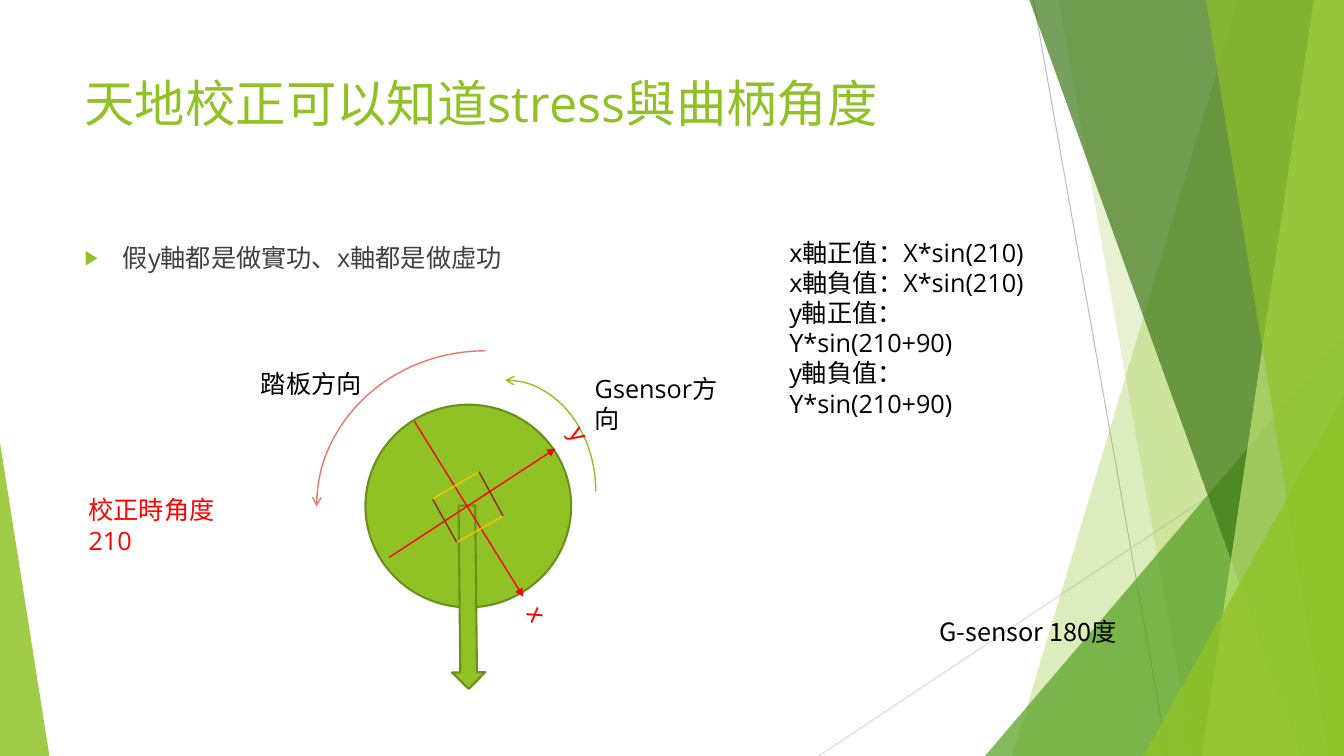
from pptx import Presentation
from pptx.dml.color import RGBColor
from pptx.enum.shapes import MSO_CONNECTOR, MSO_SHAPE
from pptx.oxml.ns import qn
from pptx.util import Inches, Pt
from lxml.etree import SubElement

WIDE, HIGH = 13.33, 7.5
GREEN = RGBColor(0x90, 0xC2, 0x26)
DEEP = RGBColor(0x54, 0xA0, 0x21)
DARK = RGBColor(0x3F, 0x78, 0x19)
PALE = RGBColor(0xC0, 0xE4, 0x74)
EDGE = RGBColor(0x6B, 0x90, 0x1C)
CORAL = RGBColor(0xEB, 0x77, 0x66)
RED = RGBColor(0xFF, 0, 0)
GOLD = RGBColor(0xFF, 0xC0, 0)
BROWN = RGBColor(0x93, 0x23, 0x13)
GRAY = RGBColor(0xBF, 0xBF, 0xBF)
MIST = RGBColor(0xD9, 0xD9, 0xD9)
INK = RGBColor(0x40, 0x40, 0x40)
BLACK = RGBColor(0, 0, 0)


def inches(values):
    return [Inches(value) for value in values]


def tint(shape, color, alpha):
    shape.shadow.inherit = False
    shape.fill.solid()
    shape.fill.fore_color.rgb = color
    shape.line.fill.background()
    clr = shape._element.spPr.find(qn("a:solidFill"))[0]
    SubElement(clr, qn("a:alpha"), val=str(alpha * 1000))


def add_fin(slide, top, base, color, alpha):
    points = [(top, 0), (WIDE, 0), (WIDE, HIGH), (base, HIGH)]
    points = [inches(point) for point in points]
    form = slide.shapes.build_freeform(*points[0])
    form.add_line_segments(points[1:])
    tint(form.convert_to_shape(), color, alpha)


def add_wedge(slide, box, peak, color, alpha):
    shape = slide.shapes.add_shape(MSO_SHAPE.ISOSCELES_TRIANGLE, *inches(box))
    shape.adjustments[0] = peak
    tint(shape, color, alpha)


def add_line(slide, start, end, color, width=1, arrow=False):
    line = slide.shapes.add_connector(
        MSO_CONNECTOR.STRAIGHT, *inches(start + end))
    line.line.color.rgb = color
    line.line.width = Pt(width)
    if arrow:
        SubElement(line.line._get_or_add_ln(), qn("a:tailEnd"), type="triangle")
    SubElement(line._element.spPr, qn("a:effectLst"))


def add_solid(slide, kind, box, turn):
    shape = slide.shapes.add_shape(kind, *inches(box))
    shape.shadow.inherit = False
    shape.rotation = turn
    shape.fill.solid()
    shape.fill.fore_color.rgb = GREEN
    shape.line.color.rgb = EDGE
    shape.line.width = Pt(1.5)


def add_arc(slide, box, color, end, flip=False):
    arc = slide.shapes.add_shape(MSO_SHAPE.ARC, *inches(box))
    arc.shadow.inherit = False
    arc.fill.background()
    arc.line.color.rgb = color
    arc.line.width = Pt(1)
    SubElement(arc.line._get_or_add_ln(), qn(end), type="arrow")
    if flip:
        arc._element.spPr.xfrm.set("flipH", "1")


def add_text(slide, box, lines, color=BLACK, size=18, font="Open Sans", turn=0):
    shape = slide.shapes.add_textbox(*inches(box))
    shape.rotation = turn
    frame = shape.text_frame
    frame.word_wrap = True
    frame.text = lines
    for para in frame.paragraphs:
        para.font.size = Pt(size)
        para.font.name = font
        para.font.color.rgb = color
    return frame


def add_bullet(para):
    props = para._p.get_or_add_pPr()
    props.set("marL", str(Inches(0.38)))
    props.set("indent", str(Inches(-0.38)))
    marks = [SubElement(props, qn("a:buClr")),
             SubElement(props, qn("a:buSzPct"), val="80000"),
             SubElement(props, qn("a:buFont"), typeface="Arial"),
             SubElement(props, qn("a:buChar"), char="▶")]
    SubElement(marks[0], qn("a:srgbClr"), val=str(GREEN))
    for spot, mark in enumerate(marks):
        props.insert(spot, mark)


def add_decor(slide):
    add_line(slide, (10.25, 0), (11.58, HIGH), GRAY, 0.75)
    add_line(slide, (WIDE, 4.03), (8.12, HIGH), MIST, 0.75)
    add_fin(slide, 12.28, 10.04, GREEN, 30)
    add_fin(slide, 10.5, 11.83, GREEN, 20)
    add_wedge(slide, (9.77, 3.33, 3.56, 4.17), 1, DEEP, 72)
    add_fin(slide, 10.21, 12.91, DARK, 70)
    add_fin(slide, 13.03, 11.92, PALE, 70)
    add_fin(slide, 11.96, 13.18, GREEN, 65)
    add_wedge(slide, (11.34, 3.93, 1.99, 3.57), 1, GREEN, 80)
    add_wedge(slide, (0, 4.39, 0.49, 3.11), 0, GREEN, 85)


def add_crank(slide):
    add_solid(slide, MSO_SHAPE.OVAL, (3.64, 4, 2.01, 2.04), 270)
    add_arc(slide, (4.11, 3.77, 1.8, 2.21), GREEN, "a:headEnd")
    add_arc(slide, (3.14, 3.48, 3.35, 3.09), CORAL, "a:tailEnd", True)
    add_solid(slide, MSO_SHAPE.RIGHT_ARROW, (3.73, 5.76, 1.82, 0.33), 89.4)
    add_line(slide, (4.11, 4.18), (5.19, 5.92), RED, arrow=True)
    add_line(slide, (3.86, 5.53), (5.51, 4.45), RED, arrow=True)
    for name, left, top in [("x", 5.13, 5.9), ("y", 5.55, 4.11)]:
        add_text(slide, (left, top, 0.38, 0.46), name, RED, 18, "Arial", 58.3)
    chip = [(4.99, 5.12), (4.53, 5.38), (4.29, 4.95), (4.75, 4.68)]
    for spot, start in enumerate(chip):
        color = BROWN if spot % 2 else GOLD
        add_line(slide, start, chip[(spot + 1) % 4], color)


def main():
    deck = Presentation()
    deck.slide_width, deck.slide_height = inches((WIDE, HIGH))
    slide = deck.slides.add_slide(deck.slide_layouts[6])
    add_decor(slide)
    add_text(slide, (0.74, 0.67, 9.4, 1.44),
             "天地校正可以知道stress與曲柄角度", GREEN, 36)
    body = add_text(slide, (0.74, 2.36, 9.4, 4.24),
                    "假y軸都是做實功、x軸都是做虛功", INK)
    add_bullet(body.paragraphs[0])
    add_text(slide, (9.22, 6.07, 2.1, 0.4), "G-sensor 180度",
             font="Noto Sans CJK SC")
    add_crank(slide)
    add_text(slide, (2.49, 3.6, 1.3, 0.4), "踏板方向")
    add_text(slide, (5.8, 3.65, 1.59, 0.4), "Gsensor方向")
    add_text(slide, (0.78, 4.86, 1.86, 0.4), "校正時角度210", RED)
    values = ["x軸正值：X*sin(210)", "x軸負值：X*sin(210)",
              "y軸正值：Y*sin(210+90)", "y軸負值：Y*sin(210+90)"]
    add_text(slide, (7.73, 2.3, 2.87, 1.31), "\n".join(values))
    deck.save("out.pptx")


main()
